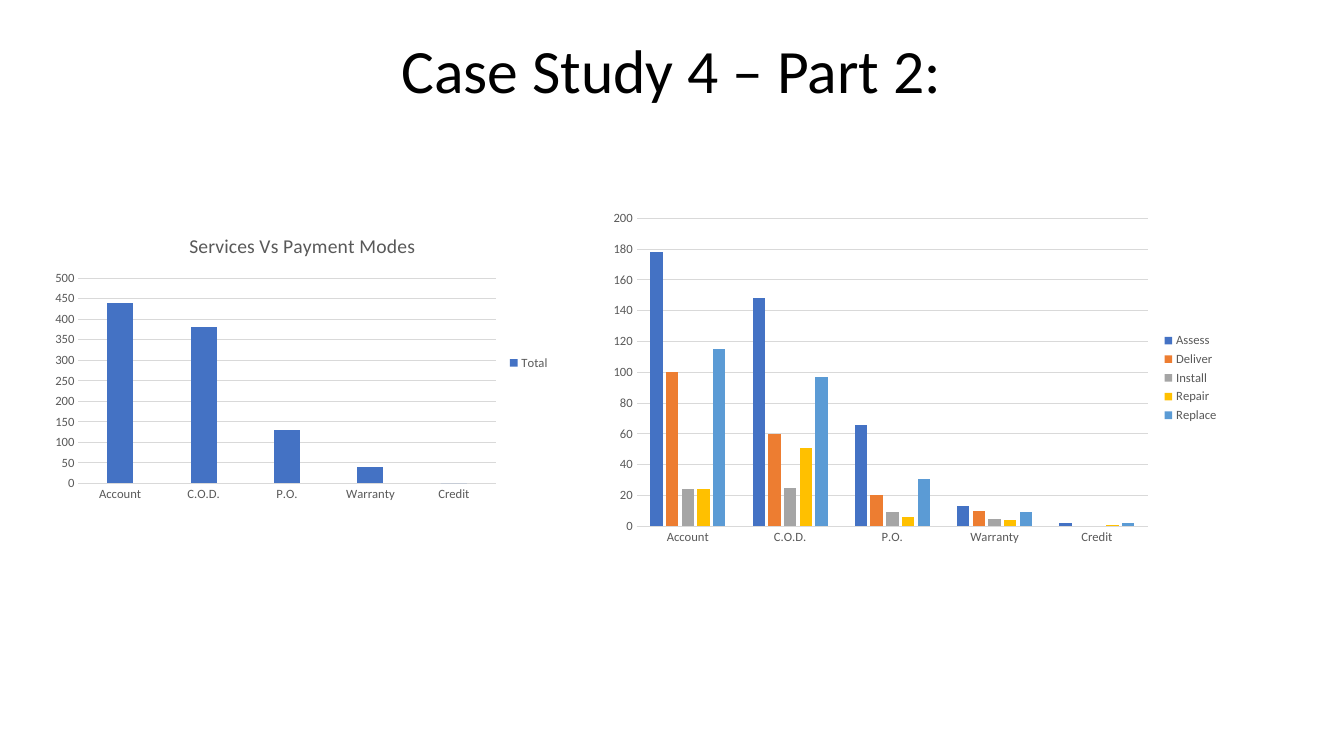
from pptx import Presentation
from pptx.chart.data import CategoryChartData
from pptx.dml.color import RGBColor
from pptx.enum.chart import XL_CHART_TYPE as ChartType, XL_LEGEND_POSITION as LegendSide, XL_TICK_MARK as Tick
from pptx.enum.text import MSO_ANCHOR as Anchor, MSO_AUTO_SIZE as AutoSize, PP_ALIGN as Align
from pptx.util import Emu, Pt

FONT = "Calibri"
BLACK = RGBColor(0x00, 0x00, 0x00)
GREY_TEXT = RGBColor(0x59, 0x59, 0x59)
GREY_LINE = RGBColor(0xD9, 0xD9, 0xD9)
BLUE = RGBColor(0x44, 0x72, 0xC4)
ORANGE = RGBColor(0xED, 0x7D, 0x31)
GREY = RGBColor(0xA5, 0xA5, 0xA5)
YELLOW = RGBColor(0xFF, 0xC0, 0x00)
SKY = RGBColor(0x5B, 0x9B, 0xD5)

PX_PER_INCH = 100.8


def px(length):
    return Emu(round(length * 914400 / PX_PER_INCH))


def style(font, size, color):
    font.name = FONT
    font.size = Pt(size)
    font.bold = False
    font.color.rgb = color


deck = Presentation()
deck.slide_width, deck.slide_height = px(1344), px(756)
slide = deck.slides.add_slide(deck.slide_layouts[5])

# Heading
heading = slide.shapes.title
heading.left, heading.top, heading.width, heading.height = px(92), px(1), px(1159), px(146)
heading.text_frame.auto_size = AutoSize.NONE
heading.text_frame.vertical_anchor = Anchor.MIDDLE
heading_line = heading.text_frame.paragraphs[0]
heading_line.alignment = Align.CENTER
heading_line.line_spacing = 0.9
heading_run = heading_line.add_run()
heading_run.text = "Case Study 4 – Part 2:"
style(heading_run.font, 44, BLACK)

# Payment modes: rounded totals on the left, split by service on the right
payment_modes = ["Account", "C.O.D.", "P.O.", "Warranty", "Credit"]
mode_totals = [440, 380, 130, 40, 0]
services = [
    ("Assess", [178, 148, 66, 13, 2], BLUE),
    ("Deliver", [100, 60, 20, 10, None], ORANGE),
    ("Install", [24, 25, 9, 5, None], GREY),
    ("Repair", [24, 51, 6, 4, 1], YELLOW),
    ("Replace", [115, 97, 31, 9, 2], SKY),
]

# (left, top, width, height), title, series, axis maximum, axis step
panels = [
    ((45, 218, 515, 290), "Services Vs Payment Modes", [("Total", mode_totals, BLUE)], 500, 50),
    ((601, 204, 628, 348), None, services, 200, 20),
]

for box, caption, groups, axis_max, axis_step in panels:
    counts_data = CategoryChartData()
    counts_data.categories = payment_modes
    for name, values, _ in groups:
        counts_data.add_series(name, values)
    chart = slide.shapes.add_chart(
        ChartType.COLUMN_CLUSTERED, *map(px, box), counts_data).chart
    style(chart.font, 10, BLACK)

    # Caption
    chart.has_title = caption is not None
    if caption:
        caption_run = chart.chart_title.text_frame.paragraphs[0].add_run()
        caption_run.text = caption
        style(caption_run.font, 14, GREY_TEXT)
        chart.chart_title.include_in_layout = False

    # Columns
    columns = chart.plots[0]
    columns.gap_width = 219
    columns.overlap = -27
    columns.vary_by_categories = False
    for column, (_, _, color) in zip(columns.series, groups):
        column.format.fill.solid()
        column.format.fill.fore_color.rgb = color
        column.invert_if_negative = False

    # Axes
    for axis in (chart.category_axis, chart.value_axis):
        axis.major_tick_mark = axis.minor_tick_mark = Tick.NONE
        style(axis.tick_labels.font, 9, GREY_TEXT)
    counts_axis = chart.value_axis
    counts_axis.minimum_scale = 0
    counts_axis.maximum_scale = axis_max
    counts_axis.major_unit = axis_step
    counts_axis.format.line.fill.background()
    for line in (chart.category_axis.format.line, counts_axis.major_gridlines.format.line):
        line.color.rgb = GREY_LINE
        line.width = Pt(0.75)

    # Legend
    chart.has_legend = True
    chart.legend.position = LegendSide.RIGHT
    chart.legend.include_in_layout = False
    style(chart.legend.font, 9, GREY_TEXT)

deck.save("out.pptx")
